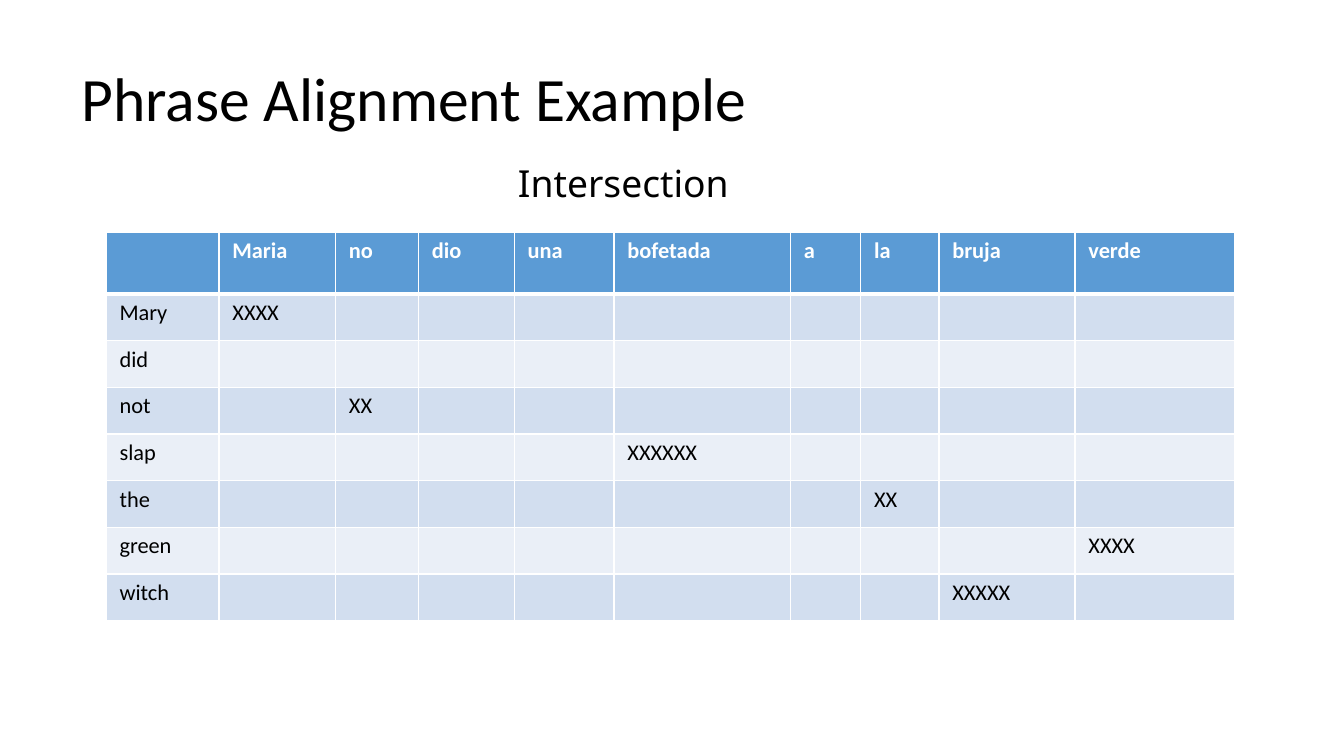
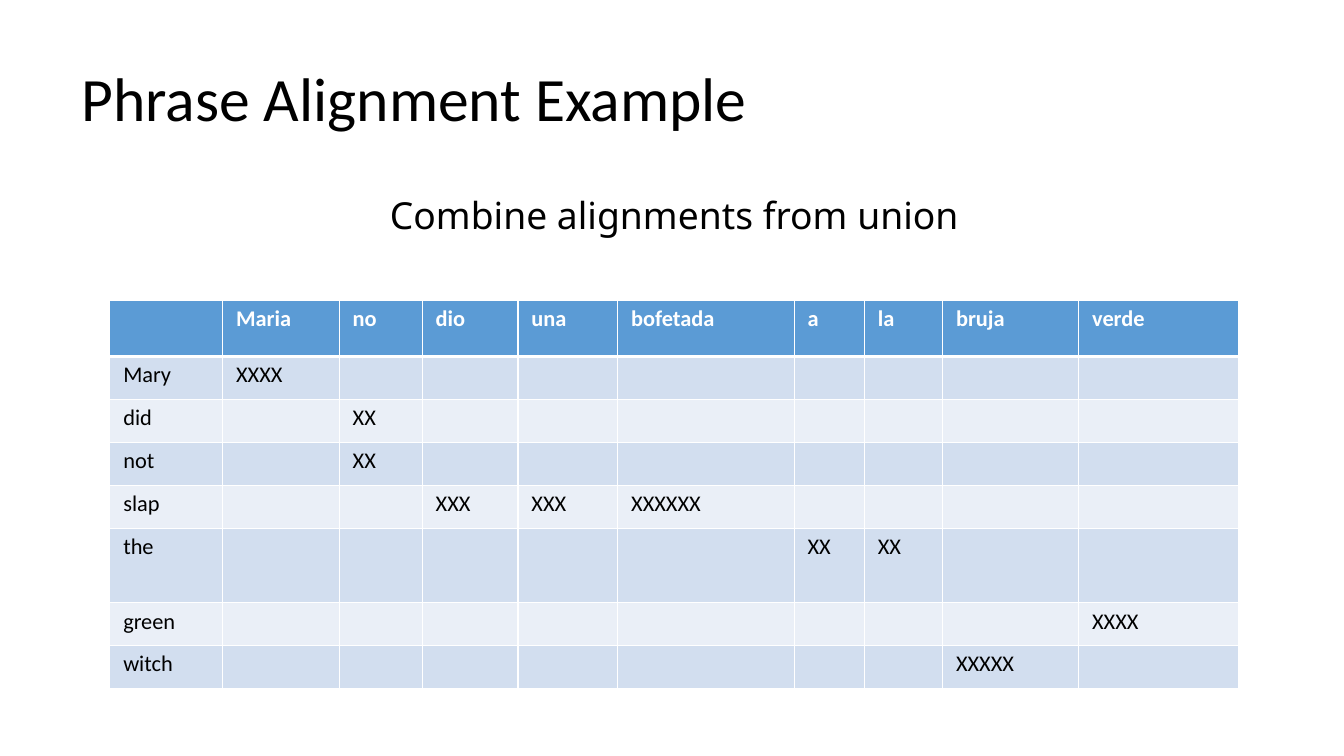
from dataclasses import dataclass

from lxml.etree import SubElement
from pptx import Presentation
from pptx.dml.color import RGBColor
from pptx.enum.text import MSO_ANCHOR as Anchor, MSO_AUTO_SIZE as AutoSize
from pptx.oxml.ns import qn
from pptx.slide import Slide
from pptx.table import _Cell as Cell
from pptx.text.text import TextFrame
from pptx.util import Pt

PX = 914400 // 300  # EMU per px, at 300 px to the inch
SLIDE_WIDTH, SLIDE_HEIGHT = 4000, 2250

BLACK = RGBColor(0x00, 0x00, 0x00)
WHITE = RGBColor(0xFF, 0xFF, 0xFF)
HEADER_BLUE = RGBColor(0x5B, 0x9B, 0xD5)
BAND_DARK = RGBColor(0xD2, 0xDE, 0xEF)
BAND_LIGHT = RGBColor(0xEA, 0xEF, 0xF7)

TITLE = "Phrase Alignment Example"
TITLE_BOX = (213, 84, 3450, 435)
TITLE_FONT, SUBTITLE_FONT = "Calibri", "Noto Sans"
CELL_MARGIN_X, CELL_MARGIN_Y = 40, 15
THIN, THICK = 1, 3


@dataclass(frozen=True)
class SpanishWord:
    text: str
    width: int
    mark: str


@dataclass(frozen=True)
class EnglishWord:
    text: str
    height: int
    aligned: tuple[str, ...] = ()


@dataclass(frozen=True)
class AlignmentSlide:
    subtitle: str
    subtitle_box: tuple[int, int, int, int]
    table_left: int
    table_top: int
    header_height: int
    rows: tuple[EnglishWord, ...]


SPANISH = (
    SpanishWord("Maria", 347, "XXXX"),
    SpanishWord("no", 247, "XX"),
    SpanishWord("dio", 285, "XXX"),
    SpanishWord("una", 297, "XXX"),
    SpanishWord("bofetada", 525, "XXXXXX"),
    SpanishWord("a", 209, "XX"),
    SpanishWord("la", 233, "XX"),
    SpanishWord("bruja", 405, "XXXXX"),
    SpanishWord("verde", 475, "XXXX"),
)
COLUMN_WIDTHS = [336] + [word.width for word in SPANISH]

SLIDES = (
    AlignmentSlide(
        "Intersection", (1512, 462, 696, 165), 316, 692, 183,
        (
            EnglishWord("Mary", 139, ("Maria",)),
            EnglishWord("did", 139),
            EnglishWord("not", 139, ("no",)),
            EnglishWord("slap", 139, ("bofetada",)),
            EnglishWord("the", 139, ("la",)),
            EnglishWord("green", 139, ("verde",)),
            EnglishWord("witch", 139, ("bruja",)),
        ),
    ),
    AlignmentSlide(
        "Combine alignments from union", (1131, 558, 1812, 165), 327, 894, 167,
        (
            EnglishWord("Mary", 128, ("Maria",)),
            EnglishWord("did", 128, ("no",)),
            EnglishWord("not", 128, ("no",)),
            EnglishWord("slap", 128, ("dio", "una", "bofetada")),
            EnglishWord("the", 221, ("a", "la")),
            EnglishWord("green", 128, ("verde",)),
            EnglishWord("witch", 128, ("bruja",)),
        ),
    ),
)


def write(frame: TextFrame, text: str, font: str, size: float,
          color: RGBColor, bold: bool = False) -> None:
    frame.text = text
    for run in frame.paragraphs[0].runs:
        run.font.name = font
        run.font.size = Pt(size)
        run.font.bold = bold
        run.font.color.rgb = color


def add_text_box(slide: Slide, box: tuple[int, int, int, int]) -> TextFrame:
    return slide.shapes.add_textbox(*(length * PX for length in box)).text_frame


def add_title(slide: Slide) -> None:
    frame = add_text_box(slide, TITLE_BOX)
    frame.word_wrap = True
    frame.vertical_anchor = Anchor.MIDDLE
    write(frame, TITLE, TITLE_FONT, 44, BLACK)
    frame.paragraphs[0].line_spacing = 0.9


def add_subtitle(slide: Slide, content: AlignmentSlide) -> None:
    frame = add_text_box(slide, content.subtitle_box)
    frame.word_wrap = False
    frame.auto_size = AutoSize.SHAPE_TO_FIT_TEXT
    write(frame, content.subtitle, SUBTITLE_FONT, 26.6, BLACK)


def set_borders(cell: Cell, top: int, bottom: int) -> None:
    """Draw white borders; must run before the cell fill is set."""
    properties = cell._tc.get_or_add_tcPr()
    for side, points in (("L", THIN), ("R", THIN), ("T", top), ("B", bottom)):
        line = SubElement(properties, qn(f"a:ln{side}"), w=str(Pt(points)))
        fill = SubElement(line, qn("a:solidFill"))
        SubElement(fill, qn("a:srgbClr"), val=str(WHITE))


def style_cell(cell: Cell, text: str, row: int) -> None:
    is_header = row == 0
    set_borders(cell, THICK if row == 1 else THIN, THICK if is_header else THIN)
    cell.fill.solid()
    band = BAND_DARK if row % 2 else BAND_LIGHT
    cell.fill.fore_color.rgb = HEADER_BLUE if is_header else band
    cell.margin_left = cell.margin_right = CELL_MARGIN_X * PX
    cell.margin_top = cell.margin_bottom = CELL_MARGIN_Y * PX
    if text:
        color = WHITE if is_header else BLACK
        write(cell.text_frame, text, TITLE_FONT, 16, color, is_header)


def add_alignment_table(slide: Slide, content: AlignmentSlide) -> None:
    heights = [content.header_height] + [word.height for word in content.rows]
    table = slide.shapes.add_table(
        len(heights), len(COLUMN_WIDTHS),
        content.table_left * PX, content.table_top * PX,
        sum(COLUMN_WIDTHS) * PX, sum(heights) * PX,
    ).table
    table.horz_banding = False
    for column, width in zip(table.columns, COLUMN_WIDTHS):
        column.width = width * PX
    for row, height in zip(table.rows, heights):
        row.height = height * PX

    grid = [[""] + [word.text for word in SPANISH]]
    for english in content.rows:
        marks = [word.mark if word.text in english.aligned else ""
                 for word in SPANISH]
        grid.append([english.text] + marks)
    for row_index, texts in enumerate(grid):
        for column_index, text in enumerate(texts):
            style_cell(table.cell(row_index, column_index), text, row_index)


def main() -> None:
    deck = Presentation()
    deck.slide_width = SLIDE_WIDTH * PX
    deck.slide_height = SLIDE_HEIGHT * PX
    blank = deck.slide_layouts[6]
    for content in SLIDES:
        slide = deck.slides.add_slide(blank)
        add_title(slide)
        add_alignment_table(slide, content)
        add_subtitle(slide, content)
    deck.save("out.pptx")


if __name__ == "__main__":
    main()
